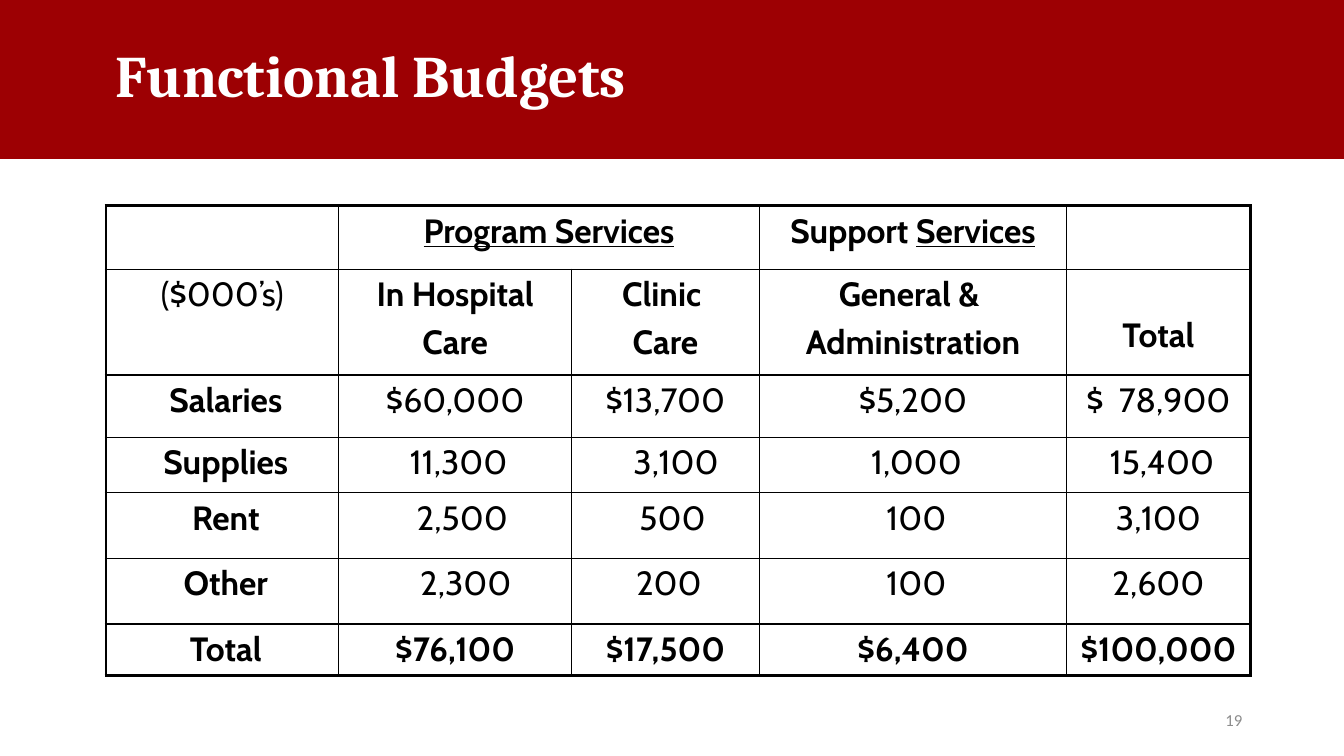
from lxml import etree
from pptx import Presentation, util as u
from pptx.dml.color import RGBColor
from pptx.enum import shapes, text
from pptx.oxml.ns import qn

RED, WHITE, BLACK, GREY = "9D0003", "FFFFFF", "000000", "8C8C8C"
COLUMN_WIDTHS = [2.31, 2.31, 1.86, 3.05, 1.82]
ROW_HEIGHTS = [0.63, 1.05, 0.62, 0.55, 0.65, 0.65, 0.51]
BUDGET = [
    ["", "Program Services", "", "Support Services", ""],
    ["($000’s)", "In Hospital\nCare", "Clinic \nCare", "General & \nAdministration", "Total"],
    ["Salaries", "$60,000", "$13,700", "$5,200", "$  78,900"],
    ["Supplies", "11,300", "3,100", "1,000", "15,400"],
    ["Rent", "2,500", "500", "100", "3,100"],
    ["Other", "2,300", "200", "100", "2,600"],
    ["Total", "$76,100", "$17,500", "$6,400", "$100,000"],
]
# Extra left indent of each cell, in steps of INDENT_STEP inches
INDENT_STEP = 0.07
INDENTS = [
    [0, 0, 0, 0, 0],
    [0, 0, 0, 0, 0],
    [1, 0, 0, 0, 0],
    [1, 1, 3, 1, 1],
    [1, 2, 2, 1, 0],
    [1, 3, 1, 1, 0],
    [1, 0, 0, 0, 0],
]


def rgb(value):
    return RGBColor.from_string(value)


def format_run(run, font_name, size, color, bold=False):
    font = run.font
    font.name, font.size, font.bold = font_name, u.Pt(size), bold
    font.color.rgb = rgb(color)


def add_band(slide):
    band = slide.shapes.add_shape(shapes.MSO_SHAPE.RECTANGLE, 0, 0,
                                  u.Inches(13.33), u.Inches(1.57))
    band.shadow.inherit = False
    band.fill.solid()
    band.fill.fore_color.rgb = band.line.color.rgb = rgb(RED)
    band.line.width = u.Pt(1)


def add_text(slide, box, words, font_name, size, color, bold, alignment):
    shape = slide.shapes.add_textbox(*map(u.Inches, box))
    frame = shape.text_frame
    frame.word_wrap = True
    frame.vertical_anchor = text.MSO_ANCHOR.MIDDLE
    frame.text = words
    paragraph = frame.paragraphs[0]
    paragraph.alignment = alignment
    paragraph.line_spacing = 0.9
    format_run(paragraph.runs[0], font_name, size, color, bold)


def set_border(cell, side, points):
    properties = cell._tc.get_or_add_tcPr()
    line = etree.SubElement(properties, qn(f"a:ln{side}"), w=str(u.Pt(points)))
    fill = etree.SubElement(line, qn("a:solidFill"))
    etree.SubElement(fill, qn("a:srgbClr"), val=BLACK)


def fill_cell(cell, words, bold, indent):
    cell.margin_left = u.Inches(0.1 + indent * INDENT_STEP)
    cell.text_frame.text = words
    for paragraph in cell.text_frame.paragraphs:
        paragraph.alignment = text.PP_ALIGN.CENTER
        paragraph.space_before = u.Pt(4.8)
        for run in paragraph.runs:
            format_run(run, "Cabin", 24, BLACK, bold)


def add_budget_table(slide):
    last_row, last_column = len(ROW_HEIGHTS) - 1, len(COLUMN_WIDTHS) - 1
    table = slide.shapes.add_table(
        last_row + 1, last_column + 1, u.Inches(1.05), u.Inches(2.04),
        u.Inches(sum(COLUMN_WIDTHS)), u.Inches(sum(ROW_HEIGHTS))).table
    table.first_row = table.horz_banding = False
    for column, width in zip(table.columns, COLUMN_WIDTHS):
        column.width = u.Inches(width)
    for row, height in zip(table.rows, ROW_HEIGHTS):
        row.height = u.Inches(height)

    # Cells, with a heavy outer frame
    for i, row in enumerate(BUDGET):
        for j, words in enumerate(row):
            cell = table.cell(i, j)
            outer = {"L": j == 0, "R": j == last_column, "T": i == 0, "B": i == last_row}
            for side, heavy in outer.items():
                set_border(cell, side, 2.25 if heavy else 1)
            cell.fill.background()
            bold = i in (0, last_row) or (i == 1) != (j == 0)
            fill_cell(cell, words, bold, INDENTS[i][j])

    # Group headings
    table.cell(0, 1).merge(table.cell(0, 2))
    table.cell(0, 1).text_frame.paragraphs[0].runs[0].font.underline = True
    support = table.cell(0, 3).text_frame.paragraphs[0]
    support.runs[0].text = "Support "
    services = support.add_run()
    services.text = "Services"
    format_run(services, "Cabin", 24, BLACK, True)
    services.font.underline = True

    # The Total heading sits one line lower
    table.cell(1, last_column).margin_top = u.Inches(0.46)


def main():
    presentation = Presentation()
    presentation.slide_width = u.Inches(13.33)
    presentation.slide_height = u.Inches(7.5)
    slide = presentation.slides.add_slide(presentation.slide_layouts[6])
    add_band(slide)
    add_text(slide, (1.05, 0.27, 8.36, 1.02), "Functional Budgets",
             "Cambria", 42, WHITE, True, text.PP_ALIGN.LEFT)
    add_budget_table(slide)
    add_text(slide, (9.42, 6.95, 3, 0.4), "19",
             "Calibri", 12, GREY, False, text.PP_ALIGN.RIGHT)
    presentation.save("out.pptx")


if __name__ == "__main__":
    main()
